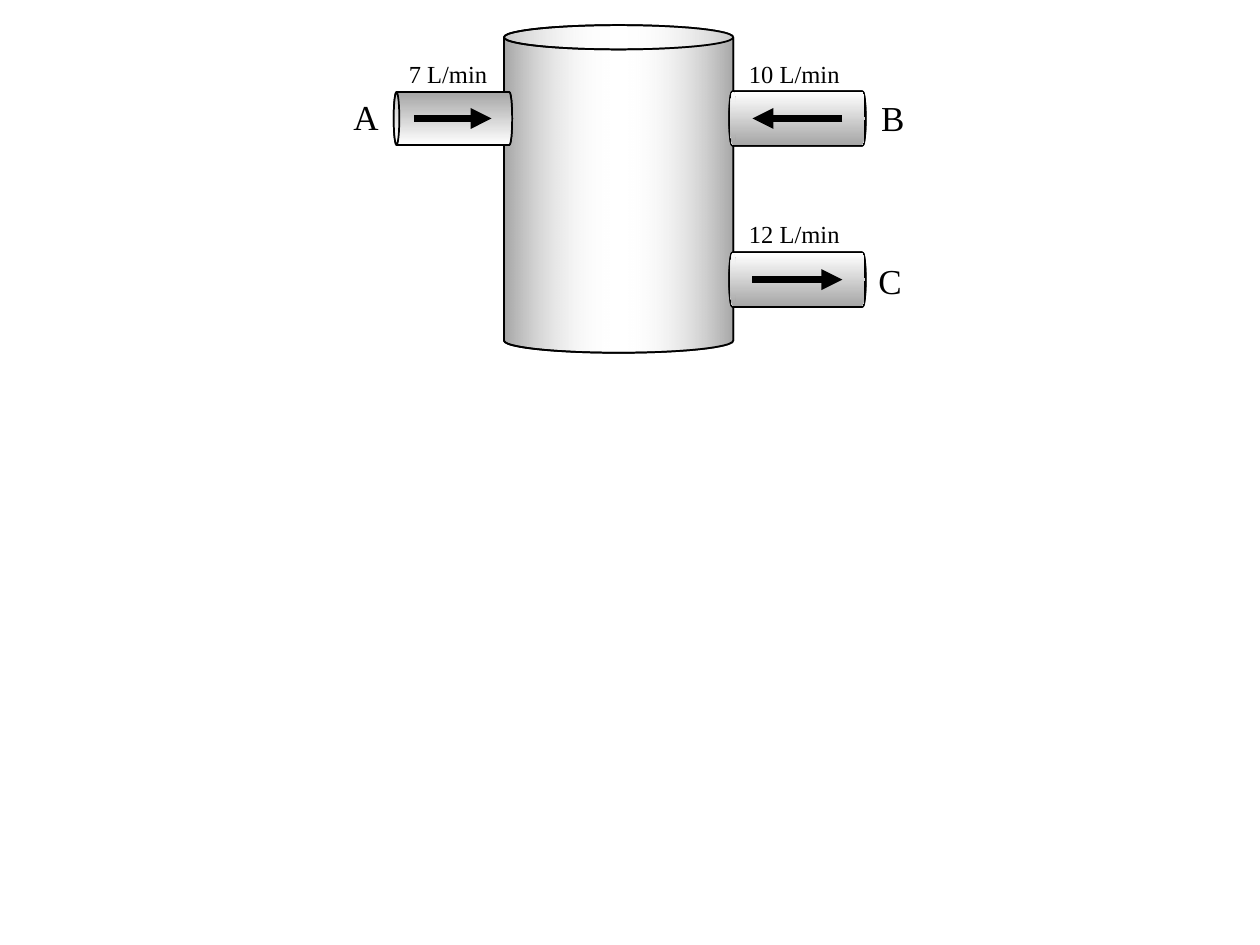
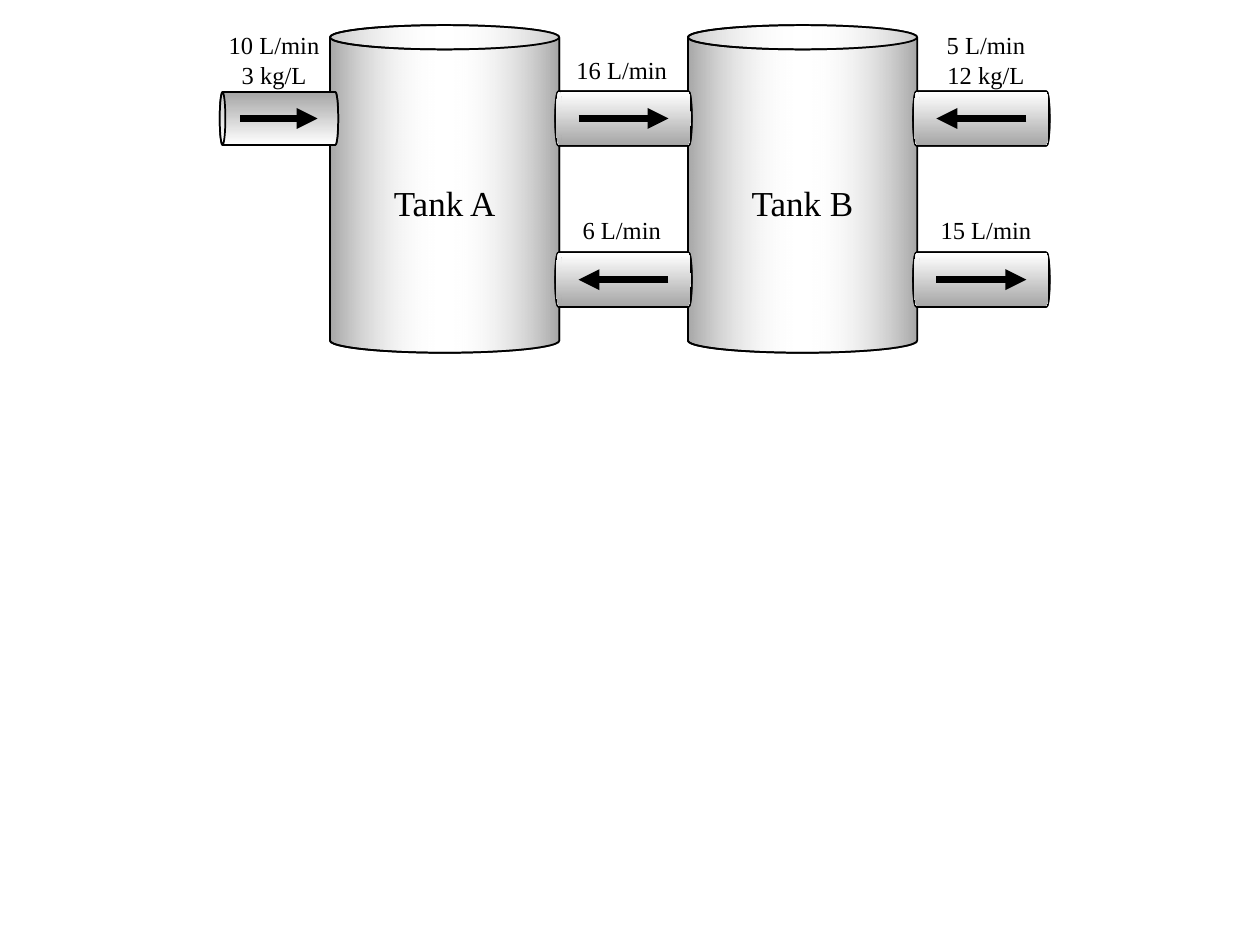
from lxml.etree import SubElement
from pptx import Presentation
from pptx.dml.color import RGBColor
from pptx.enum.shapes import MSO_CONNECTOR, MSO_SHAPE
from pptx.enum.text import MSO_AUTO_SIZE, PP_ALIGN
from pptx.oxml.ns import qn
from pptx.util import Pt

FONT = "Times New Roman"
BLACK, GREY, LIGHT_GREY, WHITE = "000000", "A6A6A6", "BFBFBF", "FFFFFF"
RIM = 0.106

TANK_TOP, TANK_WIDTH, TANK_HEIGHT = 14.4, 131, 187.2
PIPE_HEIGHT = 30.2
INLET_WIDTH, SIDE_PIPE_WIDTH = 67.7, 77
INLET_OFFSET, SIDE_PIPE_OFFSET = -63, 129.2
UPPER_PIPE, LOWER_PIPE = 52.6, 144.7
LABEL_WIDTH = 82.8

# Layers of a pipe, back to front: rotation, flipped, edge colour, line width
INLET_LAYERS = [(270, False, GREY, 1), (270, True, GREY, 1)]
SIDE_PIPE_LAYERS = [(90, False, LIGHT_GREY, 2), (90, True, LIGHT_GREY, 2),
                    (270, True, LIGHT_GREY, 0), (270, False, GREY, 0)]


def color(hex_string):
    return RGBColor.from_string(hex_string)


def add_shaded(slide, kind, left, top, width, height, edge, line_width=0,
               angle=0, white_at=1.0, clear=False):
    """Add a shape that fades from the edge colour to white, or to clear white."""
    shape = slide.shapes.add_shape(kind, Pt(left), Pt(top), Pt(width), Pt(height))
    shape.shadow.inherit = False
    shape.fill.gradient()
    shape.fill.gradient_angle = angle
    for stop, position, shade in zip(shape.fill.gradient_stops,
                                     (0, white_at), (edge, WHITE)):
        stop.position = position
        stop.color.rgb = color(shade)
    if clear:
        white = list(shape._element.spPr.iter(qn("a:srgbClr")))[1]
        SubElement(white, qn("a:alpha")).set("val", "0")
    if line_width:
        shape.line.color.rgb = color(BLACK)
        shape.line.width = Pt(line_width)
    else:
        shape.line.fill.background()
    return shape


def add_can(slide, left, top, width, height, edge, line_width,
            rotation=0, flipped=False, **shading):
    can = add_shaded(slide, MSO_SHAPE.CAN, left, top, width, height,
                     edge, line_width, **shading)
    can.adjustments[0] = RIM
    can.rotation = rotation
    if flipped:
        can._element.spPr.find(qn("a:xfrm")).set("flipH", "1")


def add_label(slide, lines, left, top, width=LABEL_WIDTH, size=14):
    height = len(lines) * size * 1.2 + 7.2
    box = slide.shapes.add_textbox(Pt(left), Pt(top), Pt(width), Pt(height))
    frame = box.text_frame
    frame.word_wrap = True
    frame.auto_size = MSO_AUTO_SIZE.SHAPE_TO_FIT_TEXT
    for index, line in enumerate(lines):
        paragraph = frame.add_paragraph() if index else frame.paragraphs[0]
        paragraph.alignment = PP_ALIGN.CENTER
        run = paragraph.add_run()
        run.text = line
        run.font.name = FONT
        run.font.size = Pt(size)
        run.font.color.rgb = color(BLACK)


def add_arrow(slide, start, end, y):
    arrow = slide.shapes.add_connector(MSO_CONNECTOR.STRAIGHT,
                                       Pt(start), Pt(y), Pt(end), Pt(y))
    arrow.line.color.rgb = color(BLACK)
    arrow.line.width = Pt(4)
    SubElement(arrow.line._get_or_add_ln(), qn("a:tailEnd")).set("type", "triangle")
    SubElement(arrow._element.spPr, qn("a:effectLst"))


def add_pipe(slide, left, top, width, layers, lines, label_shift, inset, leftward=False):
    """Add a horizontal pipe with its flow arrow and the rate above it."""
    can_left = left + (width - PIPE_HEIGHT) / 2
    can_top = top + (PIPE_HEIGHT - width) / 2
    for rotation, flipped, edge, line_width in layers:
        add_can(slide, can_left, can_top, PIPE_HEIGHT, width, edge, line_width,
                rotation, flipped)
    if layers is SIDE_PIPE_LAYERS:
        add_shaded(slide, MSO_SHAPE.OVAL, left, top, 3.6, PIPE_HEIGHT, GREY, angle=90)
    start, end = left + inset, left + width - inset
    if leftward:
        start, end = end, start
    add_arrow(slide, start, end, top + PIPE_HEIGHT / 2)
    shift_x, shift_y = label_shift
    add_label(slide, lines, left + shift_x, top + shift_y)


def add_inlet(slide, tank_left, lines, label_shift):
    add_pipe(slide, tank_left + INLET_OFFSET, UPPER_PIPE, INLET_WIDTH,
             INLET_LAYERS, lines, label_shift, inset=11.8)


def add_side_pipe(slide, tank_left, top, lines, label_shift, leftward=False):
    add_pipe(slide, tank_left + SIDE_PIPE_OFFSET, top, SIDE_PIPE_WIDTH,
             SIDE_PIPE_LAYERS, lines, label_shift, inset=12.8, leftward=leftward)


def add_tank(slide, left, name=None):
    for flipped in (False, True):
        add_can(slide, left, TANK_TOP, TANK_WIDTH, TANK_HEIGHT, GREY, 1,
                flipped=flipped, white_at=0.46, clear=True)
    if name:
        add_label(slide, [name], left + 28.8, TANK_TOP + 85.7, 73.4, 20)


def build_single_tank(slide):
    tank_left = 288
    add_tank(slide, tank_left)
    add_side_pipe(slide, tank_left, LOWER_PIPE, ["12 L/min"], (-4.7, -23))
    add_side_pipe(slide, tank_left, UPPER_PIPE, ["10 L/min"], (-4.7, -22.4), leftward=True)
    add_inlet(slide, tank_left, ["7 L/min"], (-10.4, -22.4))
    for letter, shift_x, top in (("A", -93.6, 51.1), ("B", 207.4, 51.8), ("C", 205.9, 144.7)):
        add_label(slide, [letter], tank_left + shift_x, top, 29.5, 20)


def build_two_tanks(slide):
    tank_a, tank_b = 188.6, 393.1
    add_tank(slide, tank_a, "Tank A")
    add_tank(slide, tank_b, "Tank B")
    add_side_pipe(slide, tank_b, LOWER_PIPE, ["15 L/min"], (-0.3, -25.2))
    add_side_pipe(slide, tank_a, LOWER_PIPE, ["6 L/min"], (-3.9, -25.2), leftward=True)
    add_side_pipe(slide, tank_b, UPPER_PIPE, ["5 L/min", "12 kg/L"], (-0.3, -38.9),
                  leftward=True)
    add_side_pipe(slide, tank_a, UPPER_PIPE, ["16 L/min"], (-3.9, -24.5))
    add_inlet(slide, tank_a, ["10 L/min", "3 kg/L"], (-10.4, -38.9))


def main():
    presentation = Presentation()
    presentation.slide_width, presentation.slide_height = Pt(720), Pt(540)
    blank_layout = presentation.slide_layouts[6]
    for build in (build_single_tank, build_two_tanks):
        build(presentation.slides.add_slide(blank_layout))
    presentation.save("out.pptx")


if __name__ == "__main__":
    main()
